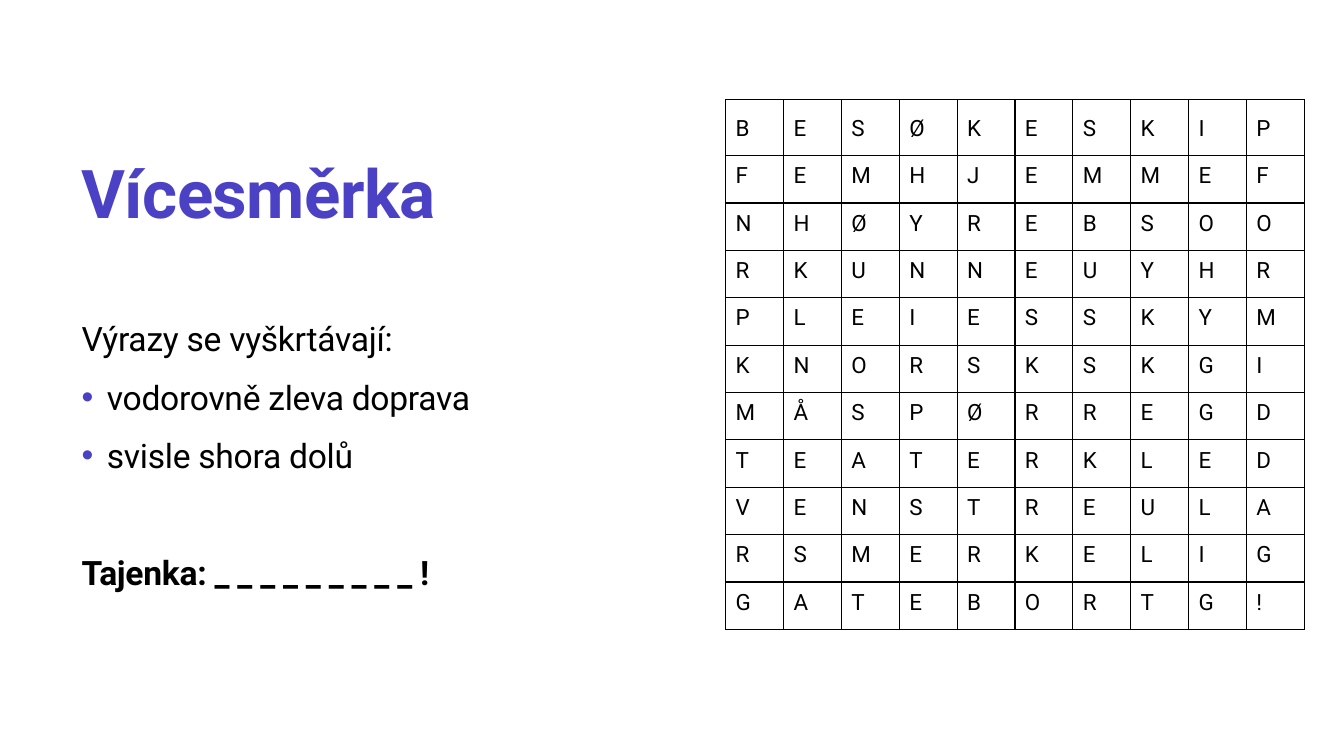
from lxml.etree import SubElement as Sub
from pptx import Presentation
from pptx.dml.color import RGBColor as RGB
from pptx.enum.text import MSO_ANCHOR as Anchor, MSO_AUTO_SIZE as Auto, PP_ALIGN as Align
from pptx.oxml.ns import qn
from pptx.util import Cm, Pt

# Content
TITLE = "Vícesměrka"
# text, bullet, bold, space before
LINES = [
    ("Výrazy se vyškrtávají:", False, False, 0),
    ("vodorovně zleva doprava", True, False, 10),
    ("svisle shora dolů", True, False, 10),
    ("Tajenka: _ _ _ _ _ _ _ _ _ !", False, True, 52),
]
GRID = [
    "BESØKESKIP",
    "FEMHJEMMEF",
    "NHØYREBSOO",
    "RKUNNEUYHR",
    "PLEIESSKYM",
    "KNORSKSKGI",
    "MÅSPØRREGD",
    "TEATERKLED",
    "VENSTREULA",
    "RSMERKELIG",
    "GATEBORTG!",
]

# Theme
THEME = {
    "face": "Roboto", "ink": "000000", "accent": "4A41C5",
    "title": 48, "body": 24, "cell": 16,
}


def put(obj, **vals):
    for key, val in vals.items():
        setattr(obj, key, val)


def write(para, text, size, color, bold=False, track=0):
    run = para.add_run()
    run.text = text
    put(run.font, name=THEME["face"], size=Pt(size), bold=bold)
    run.font.color.rgb = RGB.from_string(color)
    if track:
        run._r.get_or_add_rPr().set("spc", str(track))


def mark(para, on):
    """Set the bullet and its hanging indent, or turn both off."""
    props = para._p.get_or_add_pPr()
    step = Cm(0.64) if on else 0
    props.set("marL", str(step))
    props.set("indent", str(-step))
    if on:
        Sub(Sub(props, qn("a:buClr")), qn("a:srgbClr"), val=THEME["accent"])
        Sub(props, qn("a:buFont"), typeface="Arial")
        Sub(props, qn("a:buChar"), char="•")
    else:
        Sub(props, qn("a:buNone"))


def frame(cell):
    props = cell._tc.get_or_add_tcPr()
    for side in ("lnL", "lnR", "lnT", "lnB"):
        line = Sub(props, qn("a:" + side), w=str(Pt(1)))
        Sub(Sub(line, qn("a:solidFill")), qn("a:srgbClr"), val=THEME["ink"])
    cell.fill.background()


deck = Presentation()
put(deck, slide_width=Cm(33.87), slide_height=Cm(19.05))
slide = deck.slides.add_slide(deck.slide_layouts[1])
title, body = slide.placeholders

# Title
put(title, left=Cm(1.8), top=Cm(0.97), width=Cm(14.81), height=Cm(5.03))
put(title.text_frame, vertical_anchor=Anchor.BOTTOM, auto_size=Auto.NONE,
    word_wrap=True)
para = title.text_frame.paragraphs[0]
put(para, alignment=Align.LEFT, line_spacing=0.9)
write(para, TITLE, THEME["title"], THEME["accent"], True, -40)

# Instructions
put(body, left=Cm(1.8), top=Cm(6.35), width=Cm(15.49), height=Cm(10.82))
text = body.text_frame
put(text, vertical_anchor=Anchor.TOP, auto_size=Auto.NONE, word_wrap=True,
    margin_top=Cm(1.57))
for num, (words, bullet, bold, gap) in enumerate(LINES):
    para = text.add_paragraph() if num else text.paragraphs[0]
    put(para, alignment=Align.LEFT, line_spacing=1.1, space_before=Pt(gap))
    mark(para, bullet)
    write(para, words, THEME["body"], THEME["ink"], bold, -20)

# Letter grid: a taller first row, then equal rows and columns
rows, cols = len(GRID), len(GRID[0])
head, rest, wide = Cm(1.41), Cm(11.94), Cm(14.58)
table = slide.shapes.add_table(
    rows, cols, Cm(18.29), Cm(2.51), wide, head + rest).table
put(table, first_row=False, horz_banding=False)
for col in table.columns:
    col.width = wide // cols
for r, word in enumerate(GRID):
    table.rows[r].height = rest // (rows - 1) if r else head
    for c, char in enumerate(word):
        cell = table.cell(r, c)
        frame(cell)
        put(cell, vertical_anchor=Anchor.BOTTOM, margin_left=Cm(0.25),
            margin_right=Cm(0.18), margin_top=0 if r else Cm(0.35),
            margin_bottom=Cm(0.35))
        para = cell.text_frame.paragraphs[0]
        put(para, line_spacing=1.07, space_after=Pt(8))
        write(para, char, THEME["cell"], THEME["ink"])

deck.save("out.pptx")
